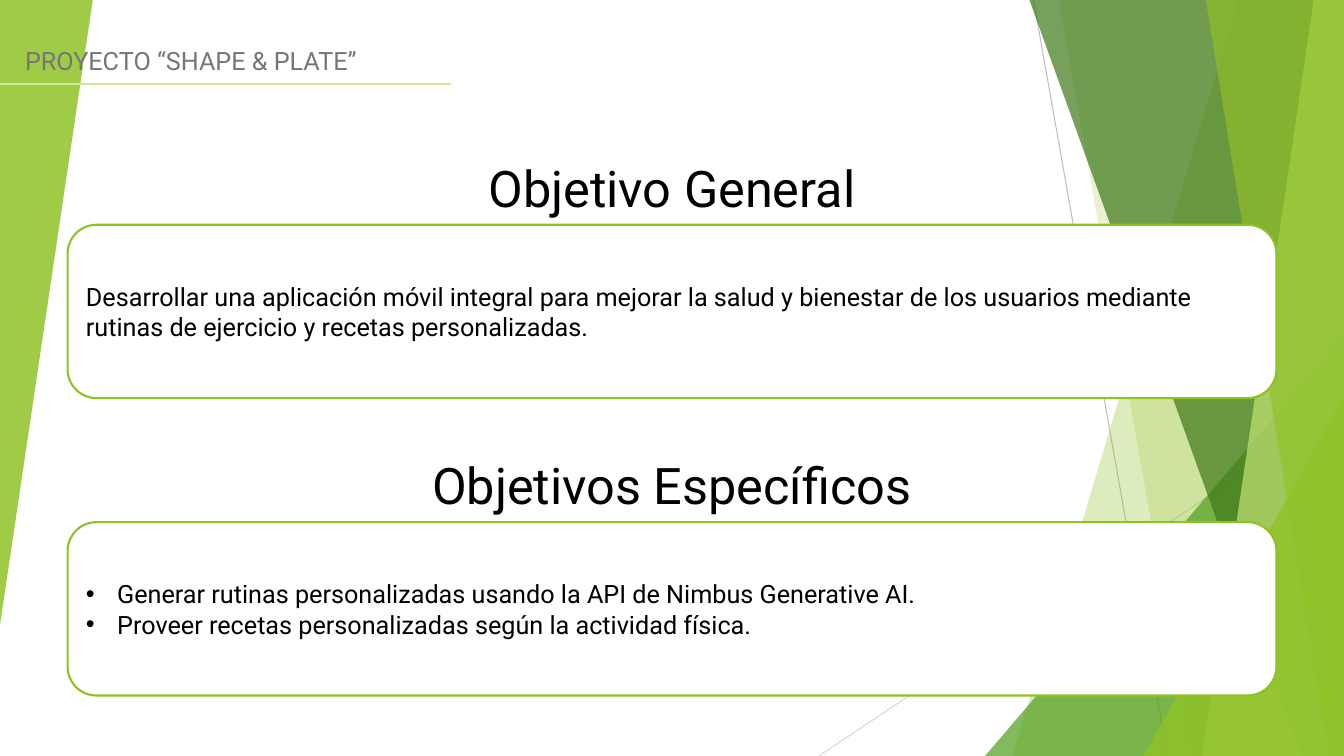
from lxml import etree
from pptx import Presentation
from pptx.dml.color import RGBColor
from pptx.enum.shapes import MSO_CONNECTOR, MSO_SHAPE
from pptx.enum.text import MSO_ANCHOR, MSO_AUTO_SIZE, PP_ALIGN
from pptx.oxml.ns import qn
from pptx.util import Inches, Pt

STRAIGHT = MSO_CONNECTOR.STRAIGHT
TRIANGLE, ROUNDED = MSO_SHAPE.ISOSCELES_TRIANGLE, MSO_SHAPE.ROUNDED_RECTANGLE
TOP, MIDDLE = MSO_ANCHOR.TOP, MSO_ANCHOR.MIDDLE
LEFT, CENTER = PP_ALIGN.LEFT, PP_ALIGN.CENTER
NO_AUTOFIT = MSO_AUTO_SIZE.NONE

WHITE = RGBColor(0xFF, 0xFF, 0xFF)
BLACK = RGBColor(0x00, 0x00, 0x00)
GRAY = RGBColor(0x76, 0x76, 0x76)
MID_GRAY = RGBColor(0xBF, 0xBF, 0xBF)
LIGHT_GRAY = RGBColor(0xD9, 0xD9, 0xD9)
GREEN = RGBColor(0x90, 0xC2, 0x26)
LEAF = RGBColor(0x54, 0xA0, 0x21)
FOREST = RGBColor(0x3F, 0x78, 0x19)
LIME = RGBColor(0xC0, 0xE4, 0x74)
PALE_LIME = RGBColor(0xD0, 0xEB, 0x96)

FONT = "Roboto"
WIDTH, HEIGHT = 13.33, 7.5


def fill_translucent(shape, color, opacity):
    """Fill a shape without outline or shadow; opacity is in percent."""
    shape.shadow.inherit = False
    shape.line.fill.background()
    shape.fill.solid()
    shape.fill.fore_color.rgb = color
    color_element = shape.element.spPr.find(qn("a:solidFill"))[0]
    etree.SubElement(color_element, qn("a:alpha"), val=str(opacity * 1000))


def add_line(slide, start, end, color, width):
    points = [Inches(value) for value in (*start, *end)]
    line = slide.shapes.add_connector(STRAIGHT, *points)
    line.line.color.rgb = color
    line.line.width = Pt(width)
    etree.SubElement(line.element.spPr, qn("a:effectLst"))


def add_band(slide, top_x, bottom_x, color, opacity):
    """Draw a full-height band from a slanted left edge to the slide's right edge."""
    corners = [(WIDTH, 0), (WIDTH, HEIGHT), (bottom_x, HEIGHT)]
    builder = slide.shapes.build_freeform(Inches(top_x), 0)
    builder.add_line_segments([(Inches(x), Inches(y)) for x, y in corners])
    fill_translucent(builder.convert_to_shape(), color, opacity)


def add_triangle(slide, left, top, width, height, color, opacity, rotation=0):
    box = [Inches(value) for value in (left, top, width, height)]
    triangle = slide.shapes.add_shape(TRIANGLE, *box)
    triangle.adjustments[0] = 1
    triangle.rotation = rotation
    fill_translucent(triangle, color, opacity)


def add_text(paragraph, text, size, color, alignment=LEFT):
    paragraph.alignment = alignment
    run = paragraph.add_run()
    run.text = text
    run.font.name = FONT
    run.font.size = Pt(size)
    run.font.color.rgb = color


def add_bullet(paragraph):
    properties = paragraph._p.get_or_add_pPr()
    properties.set("marL", str(Inches(0.31)))
    properties.set("indent", str(Inches(-0.31)))
    etree.SubElement(properties, qn("a:buFont"), typeface="Arial")
    etree.SubElement(properties, qn("a:buChar"), char="•")


def add_text_box(slide, left, top, width, height, text, size, color, alignment=LEFT):
    box = [Inches(value) for value in (left, top, width, height)]
    frame = slide.shapes.add_textbox(*box).text_frame
    frame.word_wrap = True
    add_text(frame.paragraphs[0], text, size, color, alignment)


def add_title(slide, top, text):
    title = slide.shapes.title
    title.left, title.top = Inches(0), Inches(top)
    title.width, title.height = Inches(WIDTH), Inches(0.71)
    title.text_frame.vertical_anchor = TOP
    title.text_frame.auto_size = NO_AUTOFIT
    add_text(title.text_frame.paragraphs[0], text, 36, BLACK, CENTER)
    title.element.getparent().append(title.element)


def add_card(slide, top, lines, bulleted=False):
    card = slide.shapes.add_shape(
        ROUNDED, Inches(0.67), Inches(top), Inches(11.99), Inches(1.72))
    card.shadow.inherit = False
    card.fill.solid()
    card.fill.fore_color.rgb = WHITE
    card.line.color.rgb = GREEN
    card.line.width = Pt(1.5)
    frame = card.text_frame
    frame.word_wrap = True
    frame.vertical_anchor = MIDDLE
    for index, text in enumerate(lines):
        paragraph = frame.add_paragraph() if index else frame.paragraphs[0]
        add_text(paragraph, text, 18, BLACK)
        if bulleted:
            add_bullet(paragraph)


def add_backdrop(slide):
    add_line(slide, (10.25, 0), (11.58, HEIGHT), MID_GRAY, 0.75)
    add_line(slide, (WIDTH, 4.03), (8.12, HEIGHT), LIGHT_GRAY, 0.75)
    add_band(slide, 12.28, 10.04, GREEN, 30)
    add_band(slide, 10.5, 11.83, GREEN, 20)
    add_triangle(slide, 9.77, 3.33, 3.56, 4.17, LEAF, 72)
    add_band(slide, 10.21, 12.91, FOREST, 70)
    add_band(slide, 13.03, 11.92, LIME, 70)
    add_band(slide, 11.96, 13.18, GREEN, 65)
    add_triangle(slide, 11.34, 3.93, 1.99, 3.57, GREEN, 80)
    add_triangle(slide, 0, 0, 0.92, 6.2, GREEN, 85, rotation=180)


def main():
    presentation = Presentation()
    presentation.slide_width = Inches(WIDTH)
    presentation.slide_height = Inches(HEIGHT)
    title_only = presentation.slide_layouts[5]
    slide = presentation.slides.add_slide(title_only)

    add_backdrop(slide)
    add_text_box(slide, 0.15, 0.4, 13.18, 0.4, "PROYECTO “SHAPE & PLATE”", 18, GRAY)
    add_title(slide, 1.51, "Objetivo General")
    add_line(slide, (0, 0.83), (4.47, 0.83), PALE_LIME, 1.25)
    add_text_box(slide, 0, 4.46, WIDTH, 0.71, "Objetivos Específicos", 36, BLACK, CENTER)
    add_card(slide, 2.23, [
        "Desarrollar una aplicación móvil integral para mejorar la salud y bienestar "
        "de los usuarios mediante rutinas de ejercicio y recetas personalizadas.",
    ])
    add_card(slide, 5.18, [
        "Generar rutinas personalizadas usando la API de Nimbus Generative AI.",
        "Proveer recetas personalizadas según la actividad física.",
    ], bulleted=True)

    presentation.save("out.pptx")


if __name__ == "__main__":
    main()
